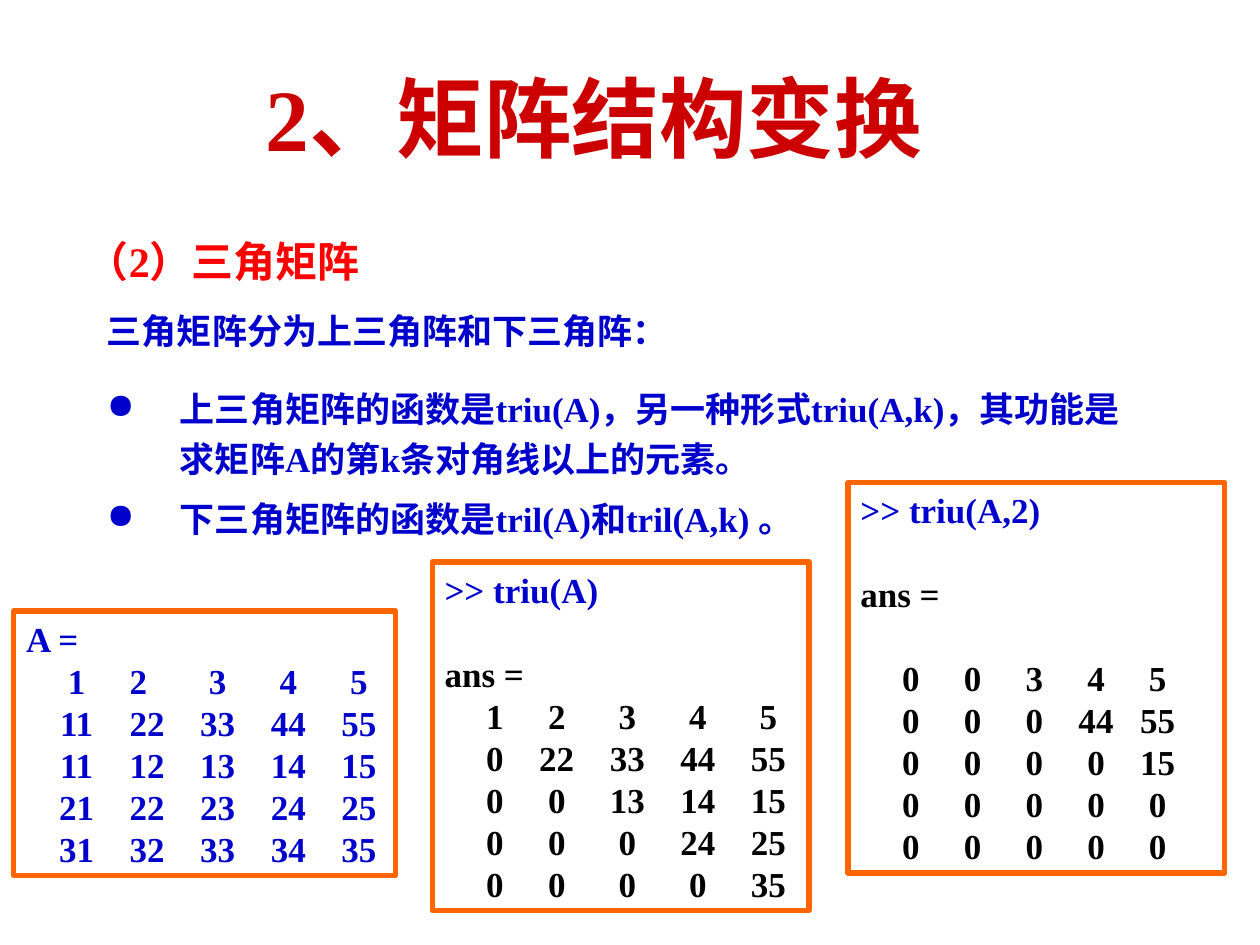
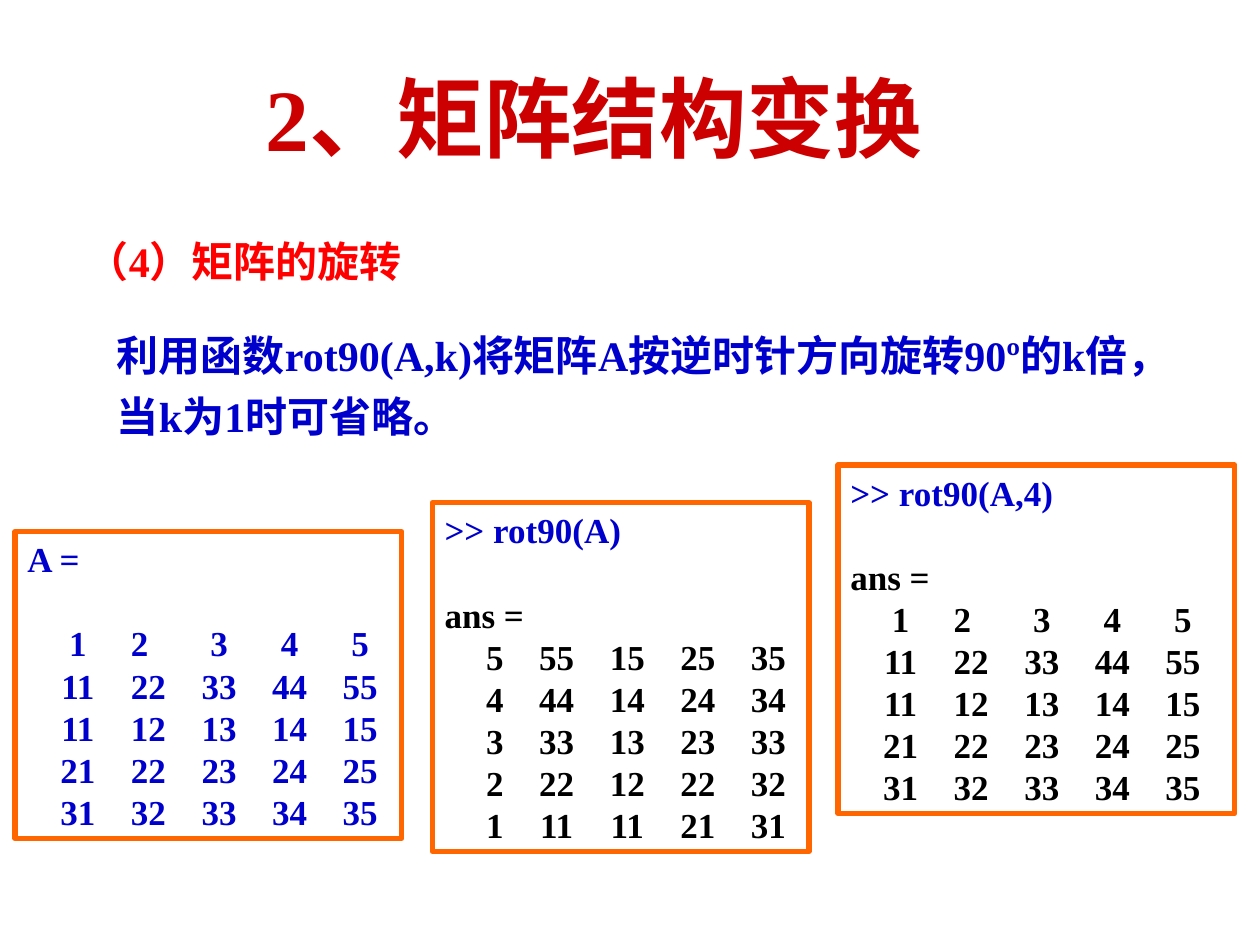
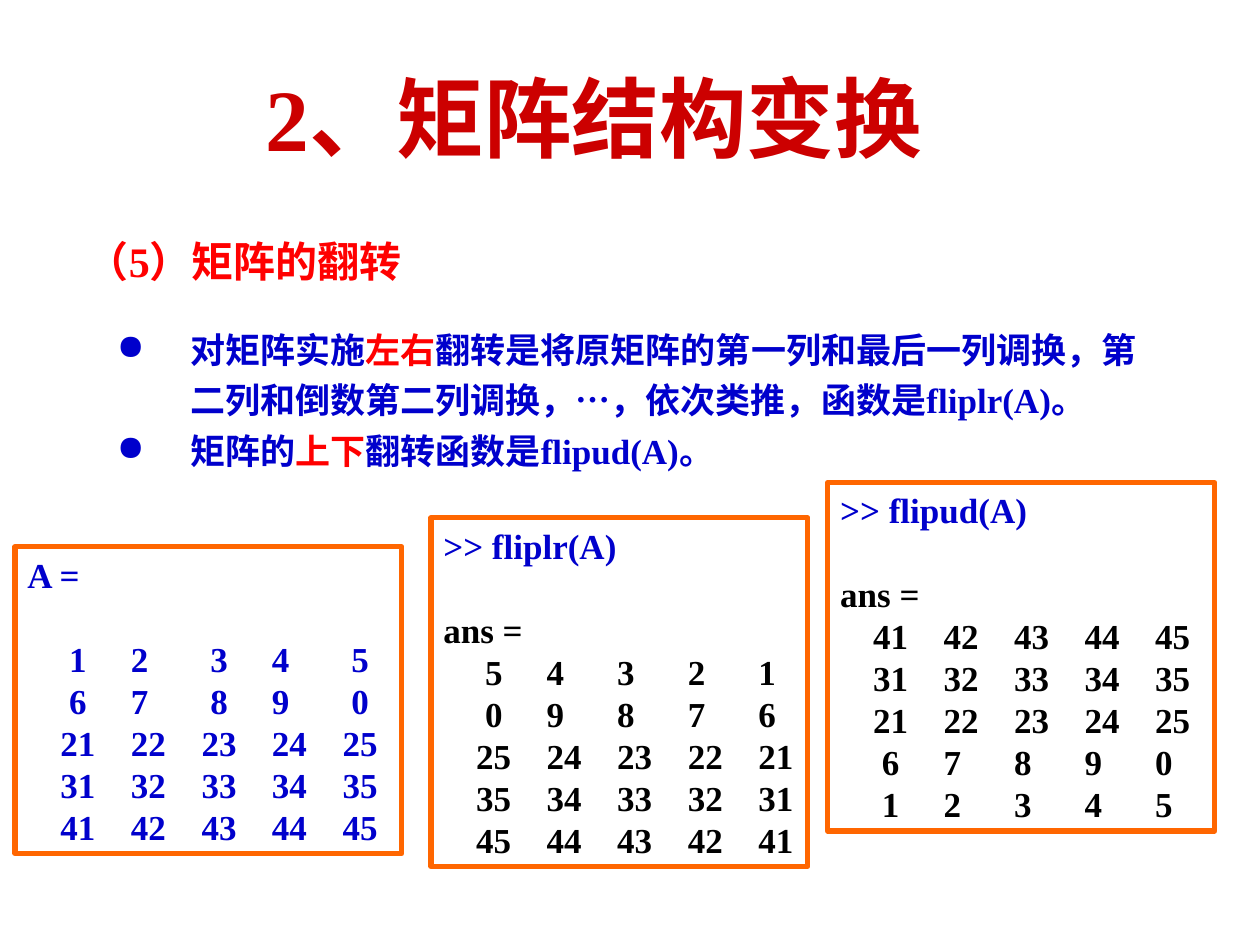
from pptx import Presentation
from pptx.dml.color import RGBColor
from pptx.enum.shapes import MSO_SHAPE
from pptx.enum.text import MSO_ANCHOR, PP_ALIGN
from pptx.oxml.ns import qn
from pptx.util import Inches, Pt
from lxml import etree

RECTANGLE = MSO_SHAPE.RECTANGLE
TOP, MIDDLE = MSO_ANCHOR.TOP, MSO_ANCHOR.MIDDLE
LEFT = PP_ALIGN.LEFT

COLUMNS, ROWS = 100, 75
CELL = Inches(0.1)
SERIF, SANS = "Times New Roman", "Arial"
TITLE_RED, RED, BLUE, ORANGE, BLACK = "CC0000", "FF0000", "0000CC", "FF6600", "000000"
LINE = Pt(24)
INDENT = Inches(0.58)

FIRST_STOP = 0.4
DIGIT = 0.14
WIDE = ("clccc", 0.56, 0)
MIXED = ("clclc", 0.56, 0)
RAGGED = ("cllll", 0.56, 0)
TIGHT = ("ccccc", 0.56, -0.07)
NARROW = ("ccccc", 0.49, 0)

STEPS = ["1 2 3 4 5", "11 22 33 44 55", "11 12 13 14 15", "21 22 23 24 25", "31 32 33 34 35"]
TENS = ["1 2 3 4 5", "6 7 8 9 0", "21 22 23 24 25", "31 32 33 34 35", "41 42 43 44 45"]


def color(value):
    return RGBColor.from_string(value)


def cells(*counts):
    return [round(count * CELL) for count in counts]


def add_span(para, text, tint, size=20, font=SERIF):
    span = para.add_run()
    span.text = text
    span.font.name = font
    span.font.size = Pt(size)
    span.font.bold = True
    span.font.color.rgb = color(tint)


def next_para(frame):
    first = frame.paragraphs[0]
    para = frame.add_paragraph() if first.runs else first
    para.alignment = LEFT
    return para


def set_up_frame(box, anchor=TOP):
    frame = box.text_frame
    frame.word_wrap = True
    frame.vertical_anchor = anchor
    return frame


def add_text(page, area, spans, size, spacing=1.0, font=SERIF, anchor=TOP):
    frame = set_up_frame(page.shapes.add_textbox(*cells(*area)), anchor)
    para = next_para(frame)
    para.line_spacing = spacing
    for text, tint in spans:
        add_span(para, text, tint, size, font)


def add_bullet(para):
    props = para._p.get_or_add_pPr()
    props.set("marL", str(INDENT))
    props.set("indent", str(-INDENT))
    tint = etree.SubElement(props, qn("a:buClr"))
    etree.SubElement(tint, qn("a:srgbClr"), val=BLUE)
    etree.SubElement(props, qn("a:buChar"), char="●")


def add_bullets(page, area, items):
    frame = set_up_frame(page.shapes.add_textbox(*cells(*area)))
    for before, spans in items:
        para = next_para(frame)
        para.line_spacing = 1.2
        para.space_before = Pt(before)
        add_bullet(para)
        for text, tint in spans:
            add_span(para, text, tint)


def add_stops(para, layout):
    aligns, pitch, shift = layout
    stops = etree.SubElement(para._p.get_or_add_pPr(), qn("a:tabLst"))
    for index, align in enumerate(aligns):
        center = FIRST_STOP + index * pitch + (shift if index else 0)
        place = center - (DIGIT if align == "l" else 0)
        etree.SubElement(stops, qn("a:tab"), pos=str(Inches(place)),
                         algn="ctr" if align == "c" else "l")


def add_code_line(frame, text, tint, gap=0):
    para = next_para(frame)
    para.line_spacing = LINE
    para.space_before = gap * LINE
    add_span(para, text, tint)
    return para


def add_matrix(page, left, top, width, heading, rows, layout, gap=0, answer=True):
    line_count = 1 + 2 * answer + gap + len(rows)
    x, y, box_width = cells(left, top, width)
    box = page.shapes.add_shape(RECTANGLE, x, y, box_width, line_count * LINE + CELL)
    box.shadow.inherit = False
    box.fill.background()
    box.line.color.rgb = color(ORANGE)
    box.line.width = Pt(3)
    frame = set_up_frame(box)
    add_code_line(frame, heading, BLUE)
    if answer:
        add_code_line(frame, "ans =", BLACK, gap=1)
    for index, row in enumerate(rows):
        text = "".join("\t" + value for value in row.split())
        para = add_code_line(frame, text, BLACK if answer else BLUE, 0 if index else gap)
        add_stops(para, layout)


def add_page(deck, topic):
    page = deck.slides.add_slide(deck.slide_layouts[6])
    add_text(page, (20.1, 3, 74.9, 12.5), [("2、矩阵结构变换", TITLE_RED)], 50, anchor=MIDDLE)
    add_text(page, (5.9, 17.8, 86.5, 5.5), [(topic, RED)], 24, 1.1)
    return page


def build_triangles(deck):
    page = add_page(deck, "（2）三角矩阵")
    add_text(page, (7.5, 24.1, 81.1, 4.4),
             [("三角矩阵分为上三角阵和下三角阵：", BLUE)], 20, font=SANS)
    add_bullets(page, (7.5, 29.6, 83.5, 13.7), [
        (12.5, [("上三角矩阵的函数是triu(A)，另一种形式triu(A,k)，"
                 "其功能是求矩阵A的第k条对角线以上的元素。", BLUE)]),
        (5, [("下三角矩阵的函数是tril(A)和tril(A,k) 。", BLUE)]),
    ])
    add_matrix(page, 1.1, 48.5, 30.3, "A =", STEPS, WIDE, answer=False)
    add_matrix(page, 34.3, 44.6, 29.9, ">> triu(A)",
               ["1 2 3 4 5", "0 22 33 44 55", "0 0 13 14 15", "0 0 0 24 25", "0 0 0 0 35"],
               TIGHT)
    add_matrix(page, 67.3, 38.3, 29.9, ">> triu(A,2)",
               ["0 0 3 4 5", "0 0 0 44 55", "0 0 0 0 15", "0 0 0 0 0", "0 0 0 0 0"],
               NARROW, gap=1)


def build_rotation(deck):
    page = add_page(deck, "（4）矩阵的旋转")
    add_text(page, (8.3, 24.9, 83.5, 10.6),
             [("利用函数rot90(A,k)将矩阵A按逆时针方向旋转90º的k倍，当k为1时可省略。", BLUE)],
             24, 1.2)
    add_matrix(page, 1.2, 42.2, 30.7, "A =", STEPS, WIDE, gap=1, answer=False)
    add_matrix(page, 34.3, 39.9, 29.9, ">> rot90(A)",
               ["5 55 15 25 35", "4 44 14 24 34", "3 33 13 23 33", "2 22 12 22 32",
                "1 11 11 21 31"], TIGHT)
    add_matrix(page, 66.5, 36.9, 31.5, ">> rot90(A,4)", STEPS, WIDE)


def build_flips(deck):
    page = add_page(deck, "（5）矩阵的翻转")
    add_bullets(page, (8.3, 24.9, 83.5, 13), [
        (0, [("对矩阵实施", BLUE), ("左右", RED),
             ("翻转是将原矩阵的第一列和最后一列调换，第二列和倒数第二列调换，"
              "…，依次类推，函数是fliplr(A)。", BLUE)]),
        (0, [("矩阵的", BLUE), ("上下", RED), ("翻转函数是flipud(A)。", BLUE)]),
    ])
    mirrored = [" ".join(reversed(row.split())) for row in TENS]
    add_matrix(page, 1.2, 43.4, 30.7, "A =", TENS, MIXED, gap=1, answer=False)
    add_matrix(page, 34.2, 41.1, 29.9, ">> fliplr(A)", mirrored, RAGGED)
    add_matrix(page, 65.7, 38.3, 30.7, ">> flipud(A)", TENS[::-1], RAGGED)


def main():
    deck = Presentation()
    deck.slide_width, deck.slide_height = cells(COLUMNS, ROWS)
    build_triangles(deck)
    build_rotation(deck)
    build_flips(deck)
    deck.save("out.pptx")


if __name__ == "__main__":
    main()
